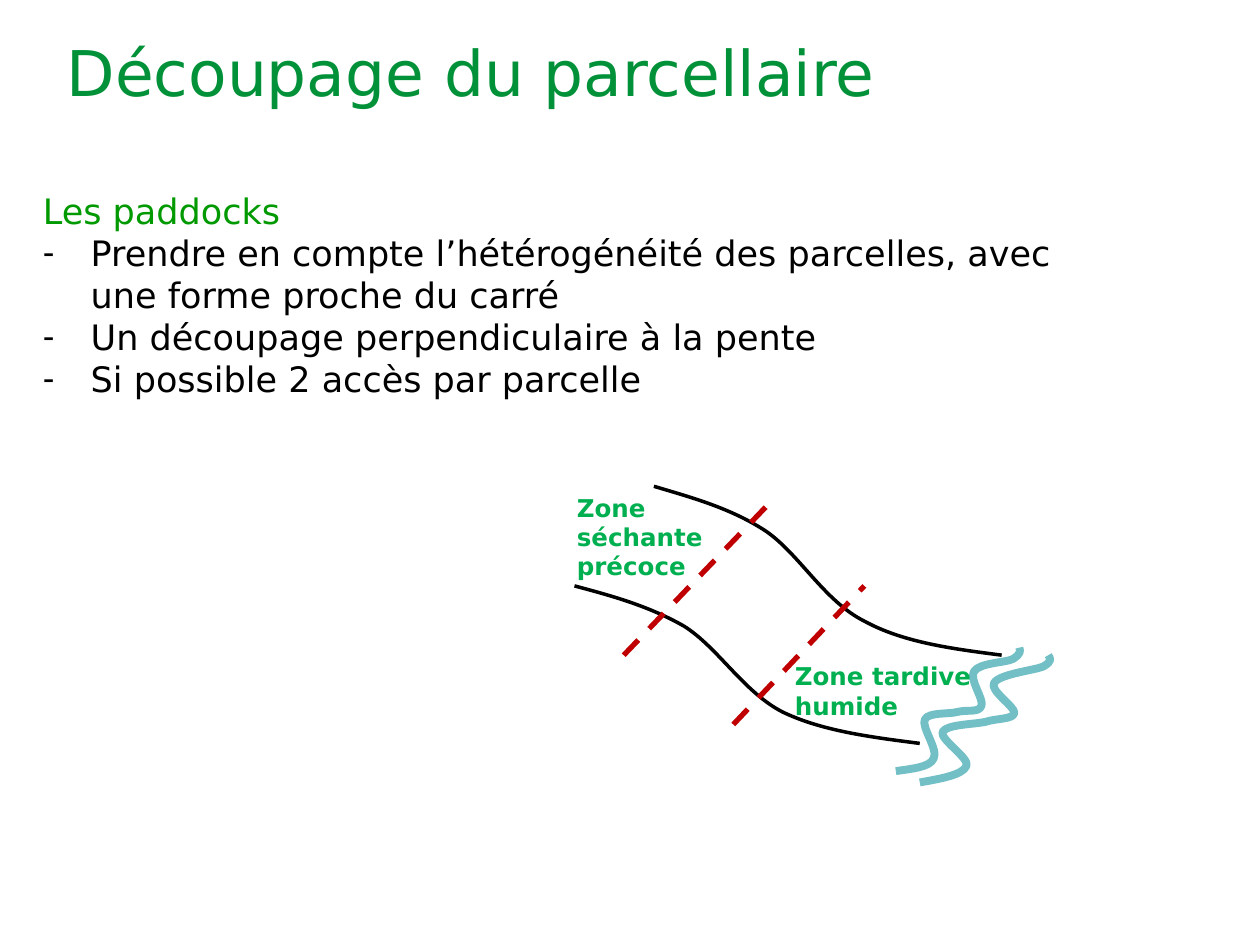
from lxml.etree import SubElement
from pptx import Presentation
from pptx.dml.color import RGBColor
from pptx.enum.dml import MSO_LINE
from pptx.enum.shapes import MSO_CONNECTOR
from pptx.enum.text import MSO_ANCHOR, MSO_AUTO_SIZE, PP_ALIGN
from pptx.oxml.ns import qn
from pptx.util import Inches, Pt

FONT = "DejaVu Sans"
COLORS = {
    "title": "009139",
    "heading": "009900",
    "text": "000000",
    "zone": "00B050",
    "contour": "000000",
    "stream": "72BFC5",
    "fence": "C00000",
}
BULLETS = [
    "Prendre en compte l’hétérogénéité des parcelles, avec une forme proche du carré",
    "Un découpage perpendiculaire à la pente",
    "Si possible 2 accès par parcelle",
]

# Bezier paths: a start point, then two control points and an end per segment
CONTOURS = [
    [(4.56, 4.65), (4.86, 4.73), (5.15, 4.81), (5.43, 4.97), (5.7, 5.14),
     (5.9, 5.49), (6.21, 5.65), (6.52, 5.8), (6.91, 5.85), (7.3, 5.9)],
    [(5.19, 3.86), (5.49, 3.95), (5.79, 4.03), (6.07, 4.21), (6.34, 4.39),
     (6.54, 4.77), (6.86, 4.93), (7.17, 5.1), (7.56, 5.15), (7.95, 5.2)],
]
STREAM_BANKS = [
    [(8.09, 5.14), (8.1, 5.17), (8.1, 5.19), (8.04, 5.23), (7.98, 5.26),
     (7.77, 5.26), (7.73, 5.33), (7.69, 5.39), (7.81, 5.55), (7.79, 5.6),
     (7.77, 5.66), (7.68, 5.63), (7.6, 5.65), (7.53, 5.67), (7.37, 5.65),
     (7.34, 5.71), (7.31, 5.77), (7.45, 5.95), (7.41, 6.02), (7.38, 6.09),
     (7.24, 6.1), (7.11, 6.12)],
    [(8.32, 5.2), (8.34, 5.23), (8.35, 5.25), (8.28, 5.29), (8.21, 5.32),
     (7.93, 5.35), (7.89, 5.42), (7.85, 5.48), (8.06, 5.61), (8.05, 5.66),
     (8.04, 5.71), (7.91, 5.7), (7.82, 5.73), (7.72, 5.75), (7.51, 5.75),
     (7.48, 5.81), (7.46, 5.87), (7.7, 6.02), (7.67, 6.08), (7.64, 6.15),
     (7.47, 6.18), (7.3, 6.21)],
]
FENCES = [((4.95, 5.2), (6.12, 3.98)), ((5.82, 5.75), (6.86, 4.65))]
ZONES = [
    ("Zone tardive humide", (6.21, 5.2, 1.61, 0.57)),
    ("Zone séchante précoce", (4.48, 3.86, 1.32, 0.81)),
]


def rgb(role):
    return RGBColor.from_string(COLORS[role])


def place(shape, left, top, width, height):
    shape.left, shape.top = Inches(left), Inches(top)
    shape.width, shape.height = Inches(width), Inches(height)


def style_paragraph(paragraph, size, role, bold=False):
    paragraph.alignment = PP_ALIGN.LEFT
    paragraph.space_before = Pt(0)
    font = paragraph.font
    font.name, font.size, font.bold = FONT, Pt(size), bold
    font.color.rgb = rgb(role)


def set_bullet(paragraph, char=None, indent=0):
    properties = paragraph._p.get_or_add_pPr()
    properties.set("marL", str(Inches(indent)))
    properties.set("indent", str(-Inches(indent)))
    if char:
        SubElement(properties, qn("a:buChar")).set("char", char)
    else:
        SubElement(properties, qn("a:buNone"))


def add_title(slide):
    title = slide.shapes.title
    place(title, 0.43, 0.21, 6.63, 0.71)
    frame = title.text_frame
    frame.text = "Découpage du parcellaire"
    frame.auto_size = MSO_AUTO_SIZE.NONE
    frame.vertical_anchor = MSO_ANCHOR.MIDDLE
    style_paragraph(frame.paragraphs[0], 36, "title")


def add_paddock_list(slide):
    body = slide.placeholders[1]
    place(body, 0.24, 1.45, 8.48, 3.13)
    frame = body.text_frame
    frame.auto_size = MSO_AUTO_SIZE.NONE
    heading = frame.paragraphs[0]
    heading.text = "Les paddocks"
    set_bullet(heading)
    style_paragraph(heading, 20, "heading")
    for text in BULLETS:
        item = frame.add_paragraph()
        item.text = text
        set_bullet(item, "-", 0.38)
        style_paragraph(item, 20, "text")


def add_curve(shapes, points, role, width):
    start, *others = [(Inches(x), Inches(y)) for x, y in points]
    builder = shapes.build_freeform(*start)
    builder.add_line_segments(others, close=False)
    curve = builder.convert_to_shape()
    # Merge each three straight segments into one cubic Bezier
    outline = curve._element.find(".//" + qn("a:path"))
    segments = outline.findall(qn("a:lnTo"))
    for first in range(0, len(segments), 3):
        bezier = SubElement(outline, qn("a:cubicBezTo"))
        for segment in segments[first:first + 3]:
            bezier.append(segment[0])
            outline.remove(segment)
    curve.fill.background()
    curve.line.color.rgb = rgb(role)
    curve.line.width = Pt(width)
    curve.shadow.inherit = False


def add_fence(shapes, start, end):
    ends = [Inches(value) for value in (*start, *end)]
    fence = shapes.add_connector(MSO_CONNECTOR.STRAIGHT, *ends)
    fence.line.color.rgb = rgb("fence")
    fence.line.width = Pt(3)
    fence.line.dash_style = MSO_LINE.DASH
    SubElement(fence._element.spPr, qn("a:effectLst"))


def add_zone_label(shapes, text, box):
    label = shapes.add_textbox(*[Inches(value) for value in box])
    frame = label.text_frame
    frame.word_wrap = True
    frame.text = text
    style_paragraph(frame.paragraphs[0], 14, "zone", bold=True)


def add_slope_sketch(slide):
    sketch = slide.shapes.add_group_shape().shapes
    for contour in CONTOURS:
        add_curve(sketch, contour, "contour", 2)
    for bank in STREAM_BANKS:
        add_curve(sketch, bank, "stream", 4.5)
    for start, end in FENCES:
        add_fence(sketch, start, end)
    for text, box in ZONES:
        add_zone_label(sketch, text, box)


def main():
    presentation = Presentation()
    presentation.slide_width = Inches(10)
    presentation.slide_height = Inches(7.5)
    slide = presentation.slides.add_slide(presentation.slide_layouts[1])
    add_title(slide)
    add_paddock_list(slide)
    add_slope_sketch(slide)
    presentation.save("out.pptx")


if __name__ == "__main__":
    main()
